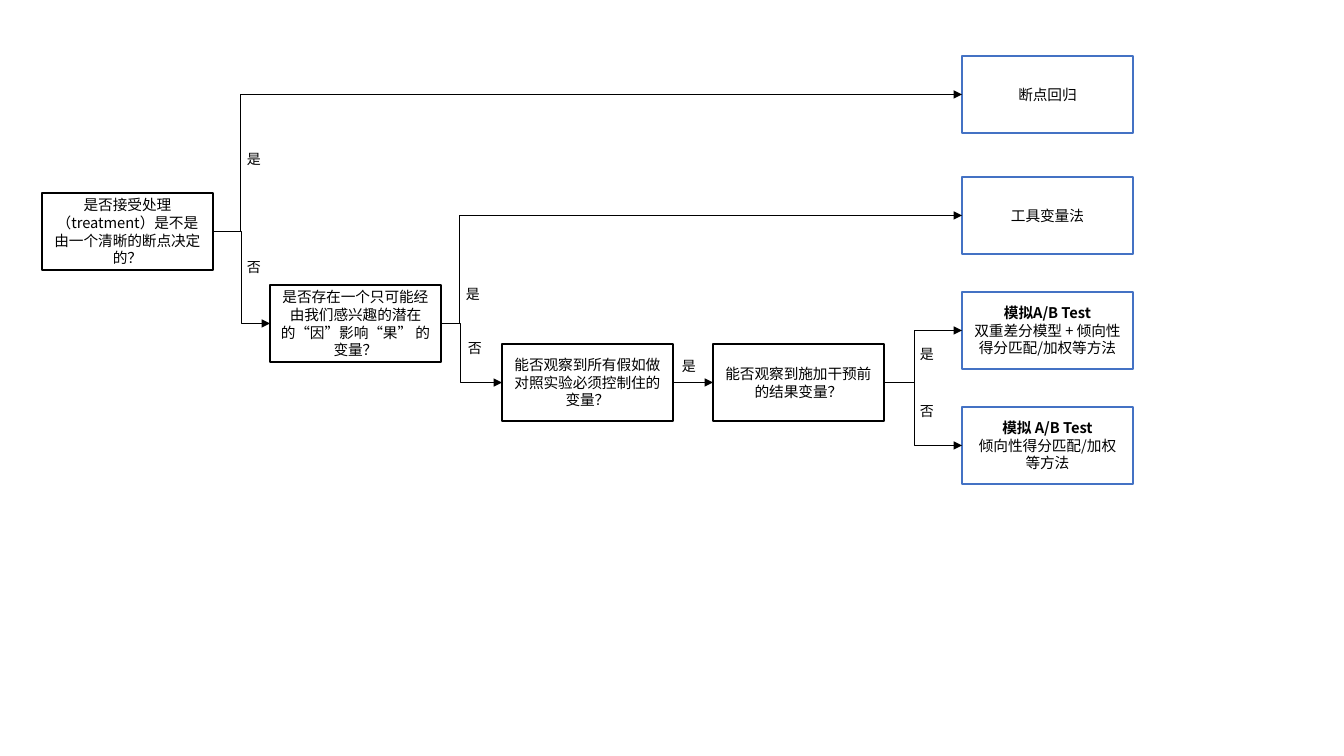
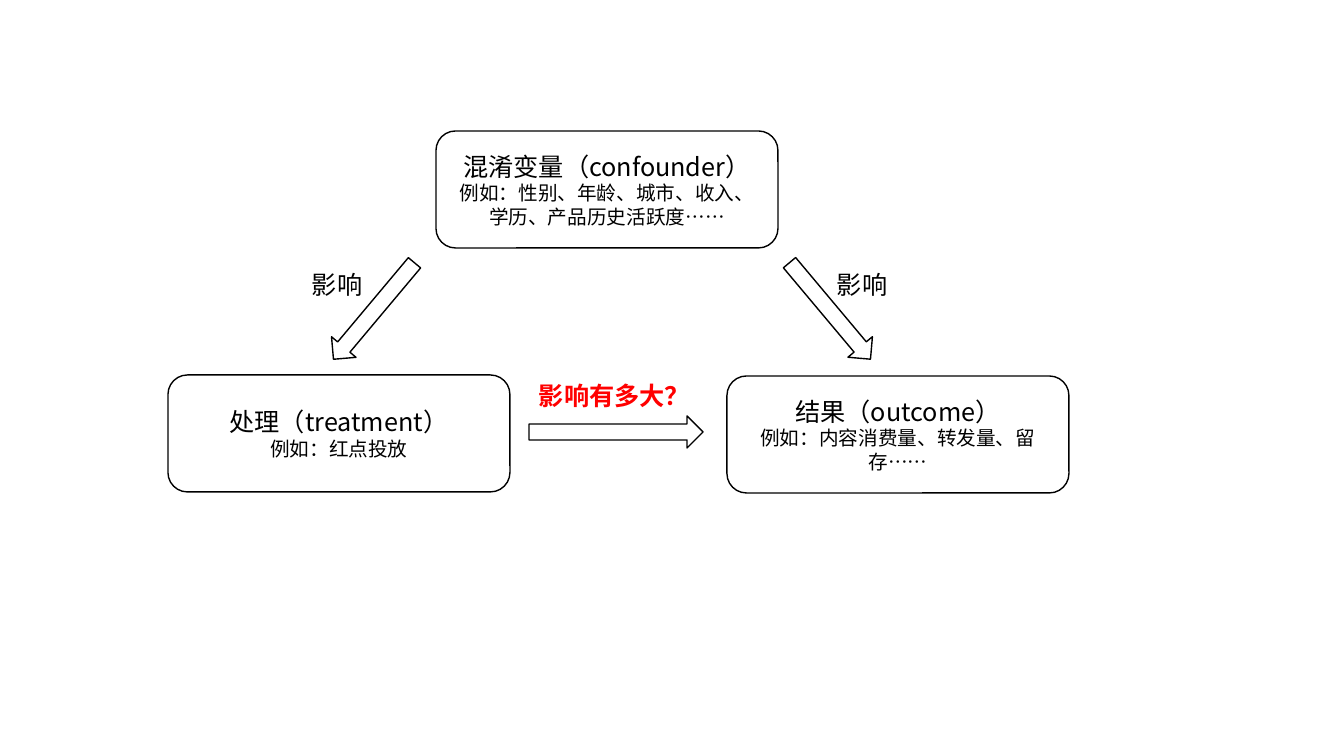
import collections

import pptx
import pptx.dml.color
import pptx.enum.shapes
import pptx.enum.text
import pptx.oxml.ns
import pptx.util
from lxml import etree

PX = 914400 / 100.8
FONT = "Noto Sans CJK SC"
BLACK, WHITE, BLUE, RED = "000000", "FFFFFF", "4472C4", "FF0000"
SHAPE = pptx.enum.shapes.MSO_SHAPE
CONNECTOR = pptx.enum.shapes.MSO_CONNECTOR
ANCHOR = pptx.enum.text.MSO_ANCHOR
ALIGN = pptx.enum.text.PP_ALIGN
LEFT_SITE, RIGHT_SITE = 1, 3

Box = collections.namedtuple("Box", "left top width height")


def px(length):
    return pptx.util.Emu(round(length * PX))


def place(box):
    return [px(length) for length in box]


def within(area, left, top, width, height):
    """Box at an offset from the corner of the area."""
    return Box(area.left + left, area.top + top, width, height)


def color(hex_text):
    return pptx.dml.color.RGBColor.from_string(hex_text)


def add_child(parent, tag, **attributes):
    return etree.SubElement(parent, pptx.oxml.ns.qn(tag), **attributes)


def write(para, text, size, ink=BLACK, bold=False, align=ALIGN.LEFT):
    para.alignment = align
    span = para.add_run()
    span.text = text
    span.font.size = pptx.util.Pt(size)
    span.font.bold = bold
    span.font.name = FONT
    span.font.color.rgb = color(ink)
    add_child(span.font._element, "a:ea", typeface=FONT)


def add_outline(page, kind, box, line=BLACK, rotation=0):
    """White preset shape with a thin outline."""
    shape = page.shapes.add_shape(kind, *place(box))
    shape.shadow.inherit = False
    shape.fill.solid()
    shape.fill.fore_color.rgb = color(WHITE)
    shape.line.color.rgb = color(line)
    shape.line.width = pptx.util.Pt(1)
    shape.rotation = rotation
    return shape


def add_text_shape(page, kind, box, lines, line=BLACK):
    """Outlined shape; lines holds (text, format) pairs, one a paragraph."""
    shape = add_outline(page, kind, box, line)
    frame = shape.text_frame
    frame.word_wrap = True
    frame.vertical_anchor = ANCHOR.MIDDLE
    for index, (text, style) in enumerate(lines):
        para = frame.add_paragraph() if index else frame.paragraphs[0]
        write(para, text, align=ALIGN.CENTER, **style)
    return shape


def add_label(page, box, text, **style):
    frame = page.shapes.add_textbox(*place(box)).text_frame
    frame.word_wrap = False
    frame.auto_size = pptx.enum.text.MSO_AUTO_SIZE.SHAPE_TO_FIT_TEXT
    write(frame.paragraphs[0], text, **style)


def add_link(page, source, target, bend=None):
    """Arrow from right side to left side, turning at the x position bend."""
    kind = CONNECTOR.STRAIGHT if bend is None else CONNECTOR.ELBOW
    link = page.shapes.add_connector(kind, 0, 0, 0, 0)
    link.begin_connect(source, RIGHT_SITE)
    link.end_connect(target, LEFT_SITE)
    link.line.color.rgb = color(BLACK)
    link.line.width = pptx.util.Pt(0.5)
    properties = link._element.spPr
    add_child(link.line._get_or_add_ln(), "a:tailEnd", type="triangle")
    add_child(properties, "a:effectLst")
    if bend is not None:
        share = (px(bend) - link.begin_x) / (link.end_x - link.begin_x)
        guides = properties.find(".//" + pptx.oxml.ns.qn("a:avLst"))
        add_child(guides, "a:gd", name="adj1", fmla=f"val {round(share * 100000)}")


def draw_decision_tree(page, area):
    node_width, node_height = 171, 77
    plain, strong = {"size": 10.5}, {"size": 10.5, "bold": True}

    def add_node(left, top, lines, line):
        box = within(area, left, top, node_width, node_height)
        return add_text_shape(page, SHAPE.FLOWCHART_PROCESS, box, lines, line)

    questions = [
        (0, 137, "是否接受处理（treatment）是不是由一个清晰的断点决定的？"),
        (228, 229, "是否存在一个只可能经由我们感兴趣的潜在的“因”影响“果” 的变量？"),
        (460, 288, "能否观察到所有假如做对照实验必须控制住的变量？"),
        (671, 288, "能否观察到施加干预前的结果变量？"),
    ]
    cutoff, instrument, controls, history = [
        add_node(left, top, [(text, plain)], BLACK) for left, top, text in questions
    ]
    methods = [
        (0, [("断点回归", plain)]),
        (121, [("工具变量法", plain)]),
        (236, [("模拟A/B Test", strong), ("双重差分模型 + 倾向性得分匹配/加权等方法", plain)]),
        (351, [("模拟 A/B Test", strong), ("倾向性得分匹配/加权等方法", plain)]),
    ]
    regression, instrument_method, difference, matching = [
        add_node(area.width - node_width, top, lines, BLUE) for top, lines in methods
    ]

    forks = [
        (199, cutoff, regression, instrument),
        (418, instrument, instrument_method, controls),
        (872, history, difference, matching),
    ]
    for bend, question, *answers in forks:
        for answer in answers:
            add_link(page, question, answer, area.left + bend)
    add_link(page, controls, history)

    answers = {
        "是": [(195, 90), (414, 225), (630, 297), (868, 285)],
        "否": [(195, 198), (416, 279), (868, 342)],
    }
    for text, spots in answers.items():
        for left, top in spots:
            add_label(page, within(area, left, top, 34, 27), text, size=10)


def draw_causal_triangle(page, area):
    concepts = [
        (268, 0, "混淆变量（confounder）", "例如：性别、年龄、城市、收入、学历、产品历史活跃度……"),
        (0, 244, "处理（treatment）", "例如：红点投放"),
        (559, 245, "结果（outcome）", "例如：内容消费量、转发量、留存……"),
    ]
    for left, top, name, example in concepts:
        add_text_shape(page, SHAPE.ROUNDED_RECTANGLE, within(area, left, top, 342, 117),
                       [(name, {"size": 18}), (example, {"size": 14})])

    for left, top, length, rotation in [(143, 164, 126, 130), (599, 164, 126, 50), (361, 285, 174, 0)]:
        add_outline(page, SHAPE.RIGHT_ARROW, within(area, left, top, length, 32), rotation=rotation)

    for left in (134, 659):
        add_label(page, within(area, left, 133, 72, 40), "影响", size=18)
    add_label(page, within(area, 361, 244, 174, 40), "影响有多大？", size=18, ink=RED, bold=True)


def main():
    deck = pptx.Presentation()
    deck.slide_width, deck.slide_height = px(1344), px(756)
    blank = deck.slide_layouts[6]
    draw_decision_tree(deck.slides.add_slide(blank), Box(42, 56, 1091, 428))
    draw_causal_triangle(deck.slides.add_slide(blank), Box(168, 131, 901, 362))
    deck.save("out.pptx")


if __name__ == "__main__":
    main()
